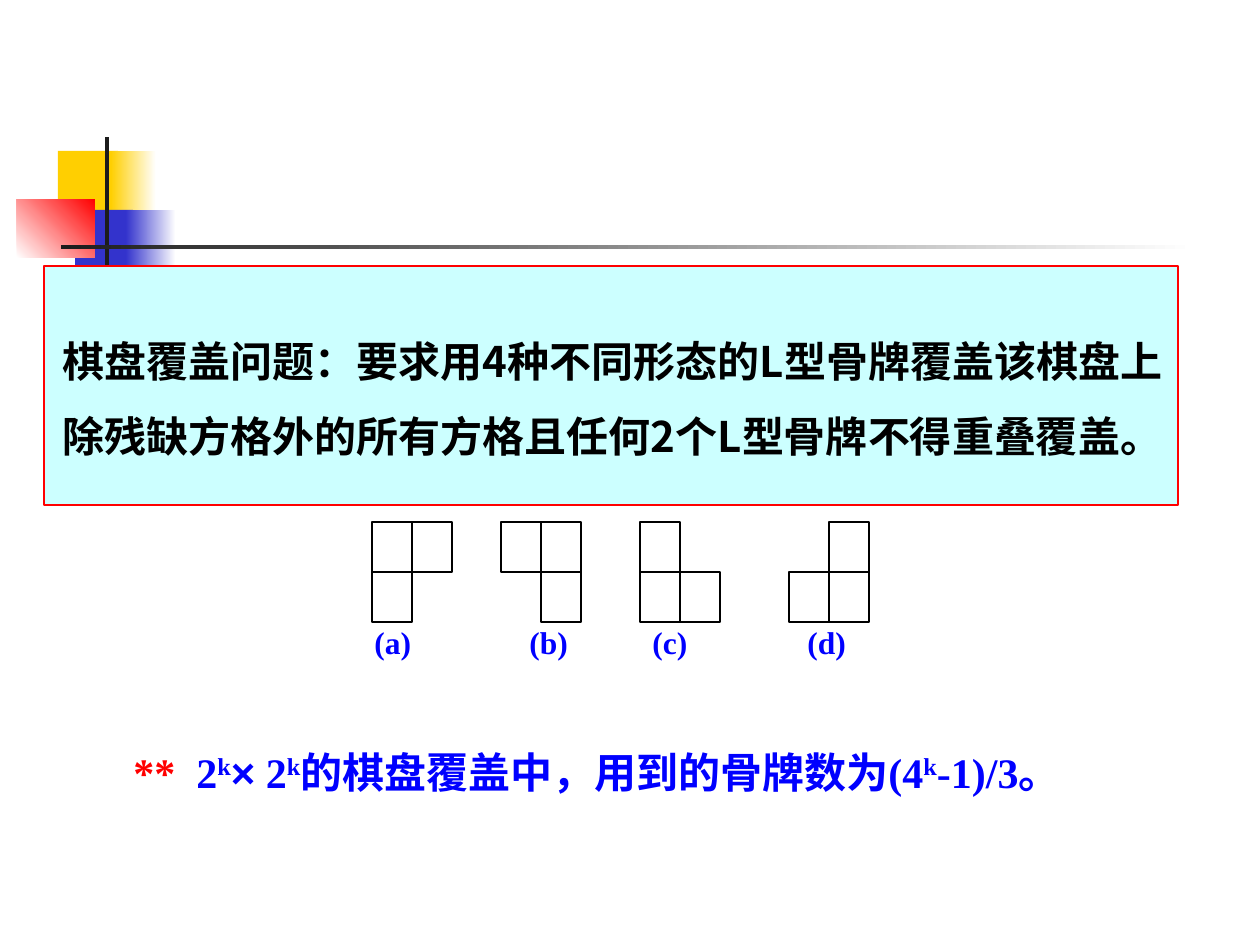
import pptx
import pptx.util
import pptx.dml.color
import pptx.enum.shapes
import pptx.enum.text
import pptx.oxml

PX = 914400 / 126  # EMU in one px
TIMES, ARIAL, HAN = "Times New Roman", "Arial", "Noto Sans CJK SC"
BLUE, RED, DARK, WHITE = "0000FF", "FF0000", "1C1C1C", "FFFFFF"
RECT = pptx.enum.shapes.MSO_SHAPE.RECTANGLE

deck = pptx.Presentation()
deck.slide_width = round(1260 * PX)
deck.slide_height = round(945 * PX)
slide = deck.slides.add_slide(deck.slide_layouts[6])
hue = pptx.dml.color.RGBColor.from_string


def rect(box, start, end=None, angle=0, line=None, width=0.75):
    shape = slide.shapes.add_shape(RECT, *[round(v * PX) for v in box])
    shape.shadow.inherit = False
    if end:
        shape.fill.gradient()
        shape.fill.gradient_angle = angle
        for stop, color in zip(shape.fill.gradient_stops, (start, end)):
            stop.color.rgb = hue(color)
    else:
        shape.fill.solid()
        shape.fill.fore_color.rgb = hue(start)
    if line:
        shape.line.color.rgb = hue(line)
        shape.line.width = pptx.util.Pt(width)
    else:
        shape.line.fill.background()
    return shape


def write(text, para, size=24, font=TIMES, color=BLUE, base=0):
    run = para.add_run()
    run.text = text
    run.font.size = pptx.util.Pt(size)
    run.font.bold = True
    run.font.color.rgb = hue(color)
    run.font.name = font
    props = run.font._element
    if base:
        props.set("baseline", str(base * 1000))
    east = pptx.oxml.parse_xml(
        '<a:ea xmlns:a="http://schemas.openxmlformats.org/drawingml/2006/main"/>')
    east.set("typeface", HAN)
    props.append(east)


# Corner ornament and rule
rect((58, 151, 60, 66), "FFCF01")
rect((111, 151, 45, 66), "FFCF01", WHITE)
rect((75, 210, 58, 66), "3333CC")
rect((126, 210, 50, 66), "3333CC", WHITE)
rect((17, 199, 78, 59), WHITE, RED, angle=45)
rect((105, 137, 4, 145), DARK)
rect((61, 245, 1134, 4), DARK, WHITE)

# Four L tiles: left edge, missing cell (column, row), label and its left edge
tiles = [
    (372, (1, 1), "(a)", 362),
    (501, (0, 1), "(b)", 517),
    (640, (1, 0), "(c)", 640),
    (789, (0, 0), "(d)", 795),
]
for left, gap, name, edge in tiles:
    for row in range(2):
        for col in range(2):
            if (col, row) != gap:
                rect((left + col * 40, 522 + row * 50, 40, 50), WHITE, line="000000")
    label = slide.shapes.add_textbox(*[round(v * PX) for v in (edge, 602, 72, 66)])
    label.text_frame.word_wrap = True
    label.text_frame.margin_right = 0
    para = label.text_frame.paragraphs[0]
    para.line_spacing = 1.4
    write(name, para, size=18)

# Problem statement
panel = rect((44, 266, 1134, 239), "CCFFFF", line=RED, width=1)
frame = panel.text_frame
frame.word_wrap = True
frame.margin_left = round(19 * PX)
frame.vertical_anchor = pptx.enum.text.MSO_ANCHOR.MIDDLE
para = frame.paragraphs[0]
para.alignment = pptx.enum.text.PP_ALIGN.LEFT
para.line_spacing = 1.5
write("棋盘覆盖问题：要求用4种不同形态的L型骨牌覆盖该棋盘上除残缺方格外的所有方格且任何2个L型骨牌不得重叠覆盖。",
      para, font=HAN, color="000000")

# Number of tiles
note = slide.shapes.add_textbox(*[round(v * PX) for v in (121, 740, 992, 63)])
note.text_frame.word_wrap = False
note.text_frame.vertical_anchor = pptx.enum.text.MSO_ANCHOR.MIDDLE
para = note.text_frame.paragraphs[0]
write("**  ", para, color=RED)
write("2", para)
write("k", para, base=30)
write("×", para, font=ARIAL)
write(" 2", para)
write("k", para, base=30)
write("的棋盘覆盖中，用到的骨牌数为", para, font=HAN)
write("(4", para)
write("k", para, base=30)
write("-1)/3。", para)

deck.save("out.pptx")
